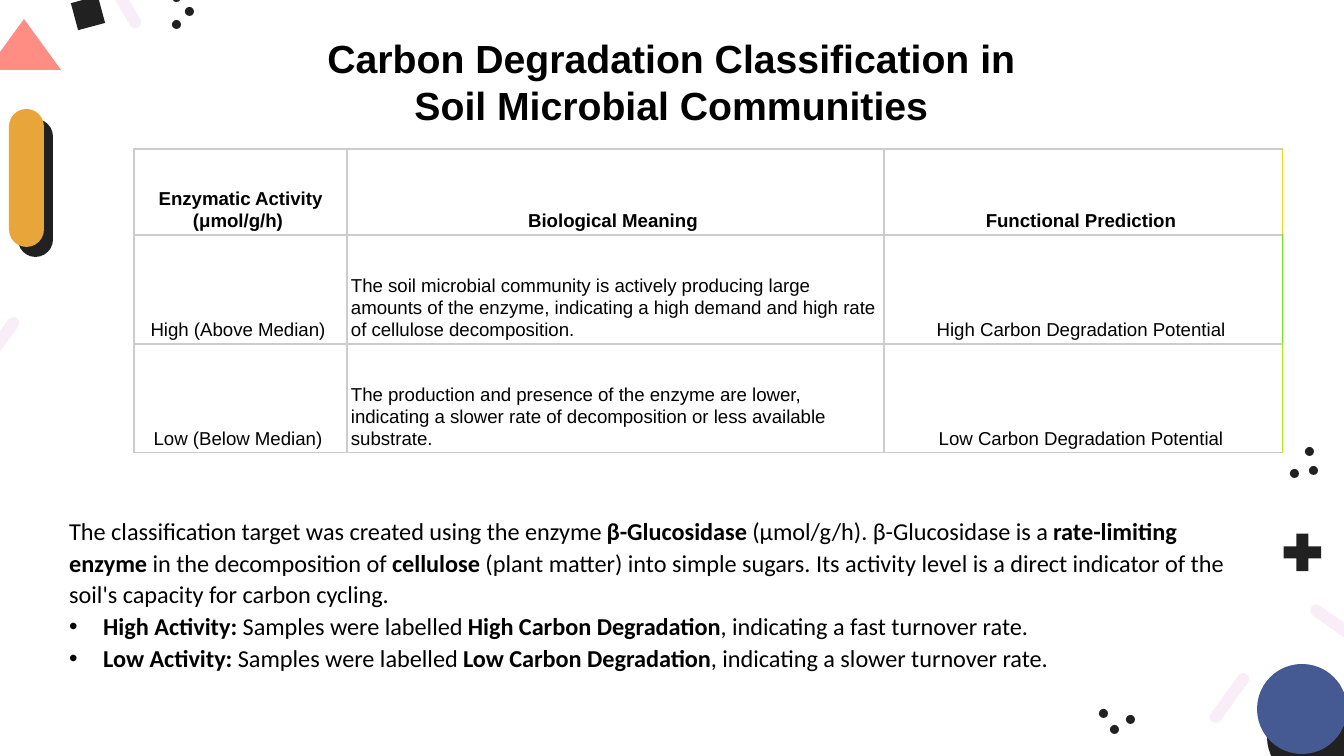
from lxml.etree import SubElement as Sub
from pptx import Presentation
from pptx.dml.color import RGBColor as RGB
from pptx.enum.shapes import MSO_SHAPE as Kind
from pptx.enum.text import MSO_ANCHOR as Anchor, MSO_AUTO_SIZE as Auto, PP_ALIGN as Align
from pptx.oxml.ns import qn
from pptx.util import Pt

PX = 914400 / 134.4
BLACK = RGB(0, 0, 0)
WHITE = RGB(255, 255, 255)
DARK = RGB(0x21, 0x21, 0x21)
BLUE = RGB(0x45, 0x5A, 0x93)
PINK = RGB(0xF9, 0xED, 0xF7)
CORAL = RGB(0xFF, 0x8D, 0x83)
GOLD = RGB(0xE8, 0xA6, 0x3A)
GREY = RGB(0xCC, 0xCC, 0xCC)
EDGES = [RGB(0xF0, 0xD7, 0x2A), RGB(0x70, 0xE3, 0x2A), RGB(0xB0, 0xE5, 0x2A)]

TITLE = "Carbon Degradation Classification in Soil Microbial Communities"
ROWS = [
    ("Enzymatic Activity (μmol/g/h)\u00a0", "Biological Meaning\u00a0", "Functional Prediction\u00a0"),
    ("High (Above Median)\u00a0",
     "The soil microbial community is actively producing large amounts of the enzyme, "
     "indicating a high demand and high rate of cellulose decomposition.\u00a0",
     "High Carbon Degradation Potential\u00a0"),
    ("Low (Below Median)\u00a0",
     "The production and presence of the enzyme are lower, indicating a slower rate of "
     "decomposition or less available substrate.\u00a0",
     "Low Carbon Degradation Potential\u00a0"),
]
WIDTHS = [213, 537, 399]
HEIGHTS = [86, 109, 109]
INSETS = [4, 4, 9]
NOTES = [
    (False, "The classification target was created using the enzyme *β-Glucosidase* (μmol/g/h). "
     "β-Glucosidase is a *rate-limiting enzyme* in the decomposition of *cellulose* (plant matter) "
     "into simple sugars. Its activity level is a direct indicator of the soil's capacity for "
     "carbon cycling.\u00a0"),
    (True, "*High Activity:* Samples were labelled *High Carbon Degradation*, "
     "indicating a fast turnover rate.\u00a0"),
    (True, "*Low Activity:* Samples were labelled *Low Carbon Degradation*, "
     "indicating a slower turnover rate.\u00a0"),
]
DECOR = [
    (Kind.OVAL, DARK, 0, (1267, 692, 90, 90)),
    (Kind.OVAL, BLUE, 0, (1257, 664, 90, 90)),
    (Kind.ISOSCELES_TRIANGLE, CORAL, 0, (-13, 19, 74, 51)),
    (Kind.ROUNDED_RECTANGLE, DARK, 0, (18, 119, 35, 138)),
    (Kind.ROUNDED_RECTANGLE, GOLD, 0, (9, 109, 35, 138)),
    (Kind.MATH_PLUS, DARK, 0, (1277, 527, 51, 51)),
    (Kind.RECTANGLE, DARK, 165, (74, -1, 28, 28)),
]
BARS = [(1306, 618, 215), (-30, 336, 306), (1200, 692, 306), (94, -4, 60)]
DOTS = [(172, 20), (172, -7), (185, 7), (1099, 709), (1126, 715), (1110, 725),
        (1290, 469), (1305, 447), (1309, 466)]
DECOR += [(Kind.ROUNDED_RECTANGLE, PINK, turn, (x, y, 59, 12)) for x, y, turn in BARS]
DECOR += [(Kind.OVAL, DARK, 0, (x, y, 9, 9)) for x, y in DOTS]


def px(n):
    return round(n * PX)


def put(obj, **vals):
    for key, val in vals.items():
        setattr(obj, key, val)


def style(font, name, size, bold):
    put(font, name=name, size=Pt(size), bold=bold)
    font.color.rgb = BLACK


def border(cell, side, color):
    line = Sub(cell._tc.get_or_add_tcPr(), qn("a:" + side), w=str(Pt(0.75)))
    Sub(Sub(line, qn("a:solidFill")), qn("a:srgbClr"), val=str(color))


def frame(box, **vals):
    put(box.text_frame, word_wrap=True, auto_size=Auto.NONE, **vals)


deck = Presentation()
put(deck, slide_width=px(1344), slide_height=px(756))
slide = deck.slides.add_slide(deck.slide_layouts[5])
shapes = slide.shapes

for kind, color, turn, area in DECOR:
    item = shapes.add_shape(kind, *map(px, area))
    item.rotation = turn
    item.shadow.inherit = False
    item.fill.solid()
    item.fill.fore_color.rgb = color
    item.line.fill.background()
    if kind == Kind.ROUNDED_RECTANGLE:
        item.adjustments[0] = 0.5

title = shapes.title
put(title, left=px(288), top=px(27), width=px(767), height=px(109))
frame(title, text=TITLE, vertical_anchor=Anchor.MIDDLE)
head = title.text_frame.paragraphs[0]
head.alignment = Align.CENTER
style(head.runs[0].font, "Arial", 21, True)

table = shapes.add_table(3, 3, px(134), px(149), px(sum(WIDTHS)), px(sum(HEIGHTS))).table
put(table, first_row=False, horz_banding=False)
for col, width in zip(table.columns, WIDTHS):
    col.width = px(width)
for r, (row, height) in enumerate(zip(ROWS, HEIGHTS)):
    table.rows[r].height = px(height)
    for c, text in enumerate(row):
        cell = table.cell(r, c)
        put(cell, text=text, vertical_anchor=Anchor.BOTTOM, margin_left=px(INSETS[c]),
            margin_right=px(INSETS[c]), margin_top=px(3), margin_bottom=px(3))
        for side in ("lnL", "lnR", "lnT", "lnB"):
            border(cell, side, EDGES[r] if c == 2 and side == "lnR" else GREY)
        cell.fill.solid()
        cell.fill.fore_color.rgb = WHITE
        para = cell.text_frame.paragraphs[0]
        put(para, line_spacing=Pt(12), alignment=Align.LEFT if r and c == 1 else Align.CENTER)
        style(para.runs[0].font, "Arial", 10, r == 0)

body = shapes.add_textbox(px(56), px(507), px(1207), px(177))
frame(body)
for i, (item, text) in enumerate(NOTES):
    para = body.text_frame.paragraphs[0] if i == 0 else body.text_frame.add_paragraph()
    para.line_spacing = Pt(17)
    if item:
        props = para._p.get_or_add_pPr()
        props.set("marL", str(px(34)))
        props.set("indent", str(px(-34)))
        Sub(Sub(props, qn("a:buClr")), qn("a:srgbClr"), val=str(BLACK))
        Sub(props, qn("a:buFont"), typeface="Arial")
        Sub(props, qn("a:buChar"), char="•")
    for n, part in enumerate(text.split("*")):
        if part:
            run = para.add_run()
            run.text = part
            style(run.font, "Calibri", 13, n % 2 == 1)

deck.save("out.pptx")
